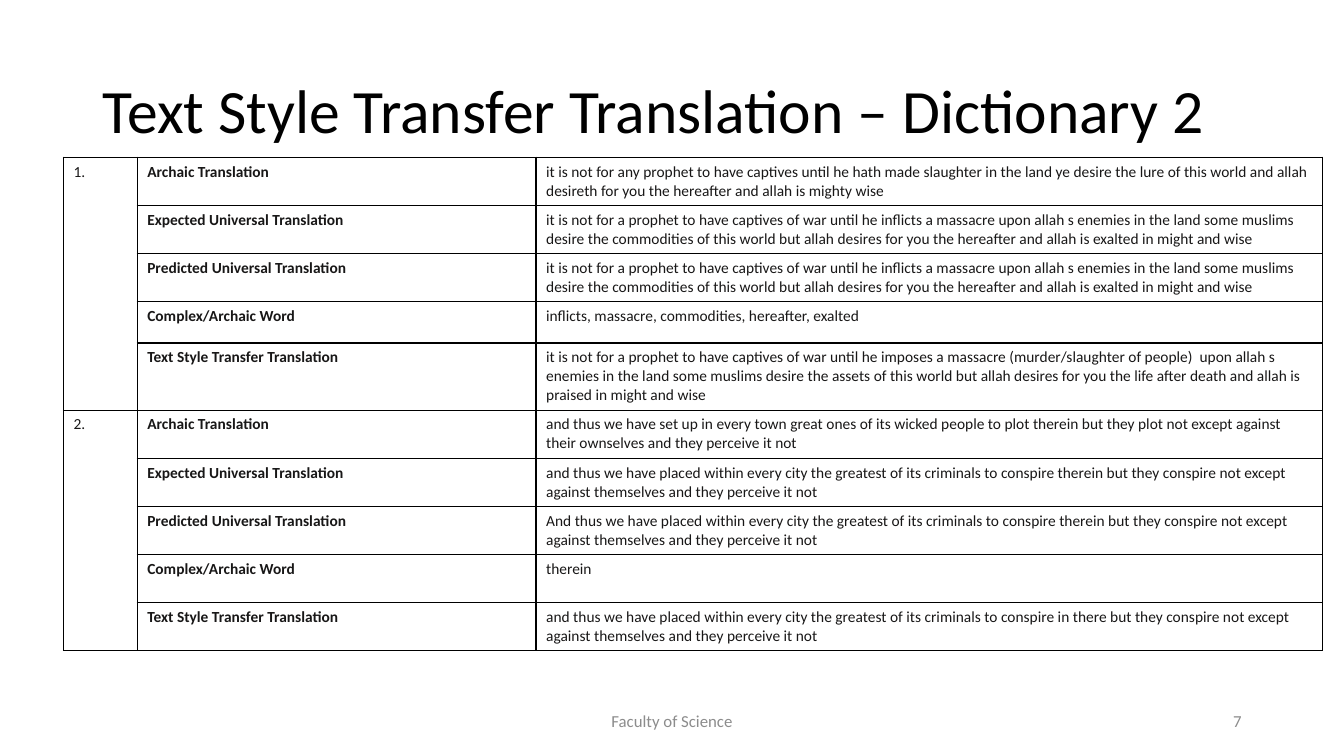
from lxml.etree import SubElement
from pptx import Presentation
from pptx.dml.color import RGBColor
from pptx.enum.text import MSO_ANCHOR, PP_ALIGN
from pptx.oxml.ns import qn
from pptx.util import Inches, Pt

BLACK = RGBColor(0x00, 0x00, 0x00)
INK = RGBColor(0x18, 0x17, 0x17)
GREY = RGBColor(0x8C, 0x8C, 0x8C)
WHITE = RGBColor(0xFF, 0xFF, 0xFF)

STAGES = (
    "Archaic Translation",
    "Expected Universal Translation",
    "Predicted Universal Translation",
    "Complex/Archaic Word",
    "Text Style Transfer Translation",
)
CAPTIVES = (
    "it is not for a prophet to have captives of war until he inflicts a massacre upon allah s "
    "enemies in the land some muslims desire the commodities of this world but allah desires "
    "for you the hereafter and allah is exalted in might and wise"
)
CITY = (
    "{} thus we have placed within every city the greatest of its criminals to conspire {} "
    "but they conspire not except against themselves and they perceive it not"
)
EXAMPLES = (
    (
        "it is not for any prophet to have captives until he hath made slaughter in the land ye "
        "desire the lure of this world and allah desireth for you the hereafter and allah is "
        "mighty wise",
        CAPTIVES,
        CAPTIVES,
        "inflicts, massacre, commodities, hereafter, exalted",
        "it is not for a prophet to have captives of war until he imposes a massacre "
        "(murder/slaughter of people)  upon allah s enemies in the land some muslims desire the "
        "assets of this world but allah desires for you the life after death and allah is "
        "praised in might and wise",
    ),
    (
        "and thus we have set up in every town great ones of its wicked people to plot therein "
        "but they plot not except against their ownselves and they perceive it not",
        CITY.format("and", "therein"),
        CITY.format("And", "therein"),
        "therein",
        CITY.format("and", "in there"),
    ),
)
COLUMN_WIDTHS = (5.48, 29.68, 58.5)
ROW_HEIGHTS = (6.35, 6.35, 6.35, 5.47, 8.86, 6.35, 6.35, 6.35, 6.35, 6.35)


class Page:
    """Draws on one slide; every place and length is a percentage of the slide's size."""

    font = "Calibri"

    def __init__(self, deck):
        self.width, self.height = deck.slide_width, deck.slide_height
        self.slide = deck.slides.add_slide(deck.slide_layouts[5])

    def across(self, share):
        return round(self.width * share / 100)

    def down(self, share):
        return round(self.height * share / 100)

    def area(self, left, top, width, height):
        return self.across(left), self.down(top), self.across(width), self.down(height)

    def set_text(self, holder, text, size, color, align=PP_ALIGN.LEFT, bold=False):
        """Fill a shape or table cell with one formatted paragraph."""
        holder.text_frame.text = text
        para = holder.text_frame.paragraphs[0]
        para.alignment = align
        para.font.size = Pt(size)
        for span in para.runs:
            span.font.name, span.font.size = self.font, Pt(size)
            span.font.bold, span.font.color.rgb = bold, color
        return para

    def title(self, text, *area):
        box = self.slide.shapes.title
        box.left, box.top, box.width, box.height = self.area(*area)
        self.set_text(box, text, 44, BLACK).line_spacing = 0.9
        box.text_frame.vertical_anchor = MSO_ANCHOR.MIDDLE

    def footer(self, text, align, *area):
        box = self.slide.shapes.add_textbox(*self.area(*area))
        box.text_frame.word_wrap = True
        box.text_frame.vertical_anchor = MSO_ANCHOR.MIDDLE
        self.set_text(box, text, 12, GREY, align)

    def style_cell(self, cell):
        """Give a cell black borders on all sides and a white fill."""
        properties = cell._tc.get_or_add_tcPr()
        for side in ("a:lnL", "a:lnR", "a:lnT", "a:lnB"):
            line = SubElement(properties, qn(side), w=str(Pt(1)))
            paint = SubElement(line, qn("a:solidFill"))
            SubElement(paint, qn("a:srgbClr"), val=str(BLACK))
        cell.fill.solid()
        cell.fill.fore_color.rgb = WHITE

    def table(self, left, top, examples):
        frame = self.slide.shapes.add_table(
            len(ROW_HEIGHTS), len(COLUMN_WIDTHS),
            *self.area(left, top, sum(COLUMN_WIDTHS), sum(ROW_HEIGHTS)),
        )
        table = frame.table
        table.first_row = table.horz_banding = False
        for column, width in zip(table.columns, COLUMN_WIDTHS):
            column.width = self.across(width)
        for row, height in zip(table.rows, ROW_HEIGHTS):
            row.height = self.down(height)
        for cell in table.iter_cells():
            self.style_cell(cell)
            self.set_text(cell, "", 11, INK)
        for number, example in enumerate(examples):
            first = number * len(STAGES)
            number_cell = table.cell(first, 0)
            number_cell.merge(table.cell(first + len(STAGES) - 1, 0))
            self.set_text(number_cell, f"{number + 1}.", 11, INK)
            for row, (stage, text) in enumerate(zip(STAGES, example), first):
                self.set_text(table.cell(row, 1), stage, 11, INK, bold=True)
                self.set_text(table.cell(row, 2), text, 11, INK)


def main():
    deck = Presentation()
    deck.slide_width, deck.slide_height = Inches(13.33), Inches(7.5)
    page = Page(deck)
    page.title("Text Style Transfer Translation – Dictionary 2", 6.9, 5.33, 86.25, 19.33)
    page.table(4.73, 20.8, EXAMPLES)
    page.footer("Faculty of Science", PP_ALIGN.CENTER, 33.13, 92.67, 33.75, 5.33)
    page.footer("7", PP_ALIGN.RIGHT, 70.63, 92.67, 22.5, 5.33)
    deck.save("out.pptx")


if __name__ == "__main__":
    main()
